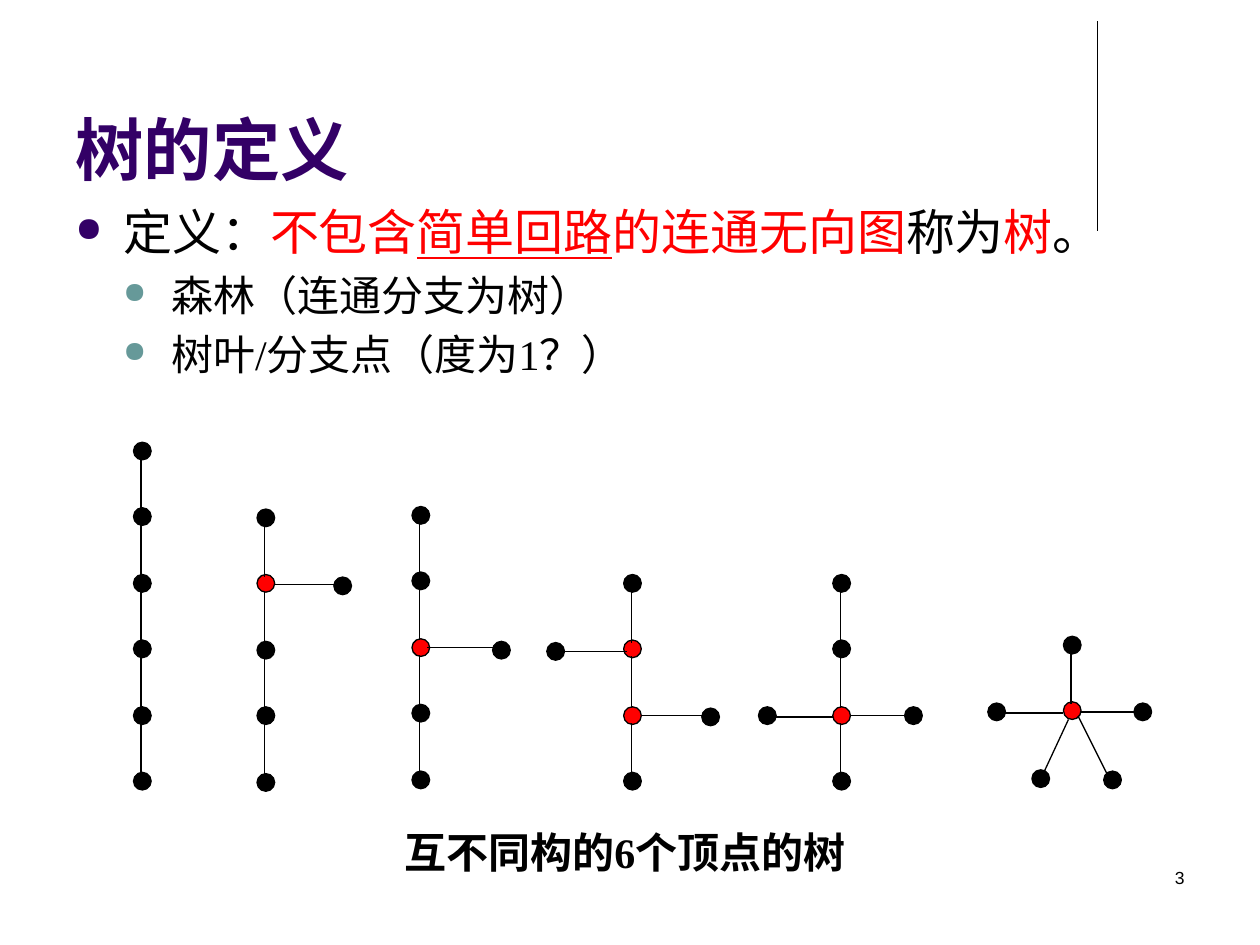
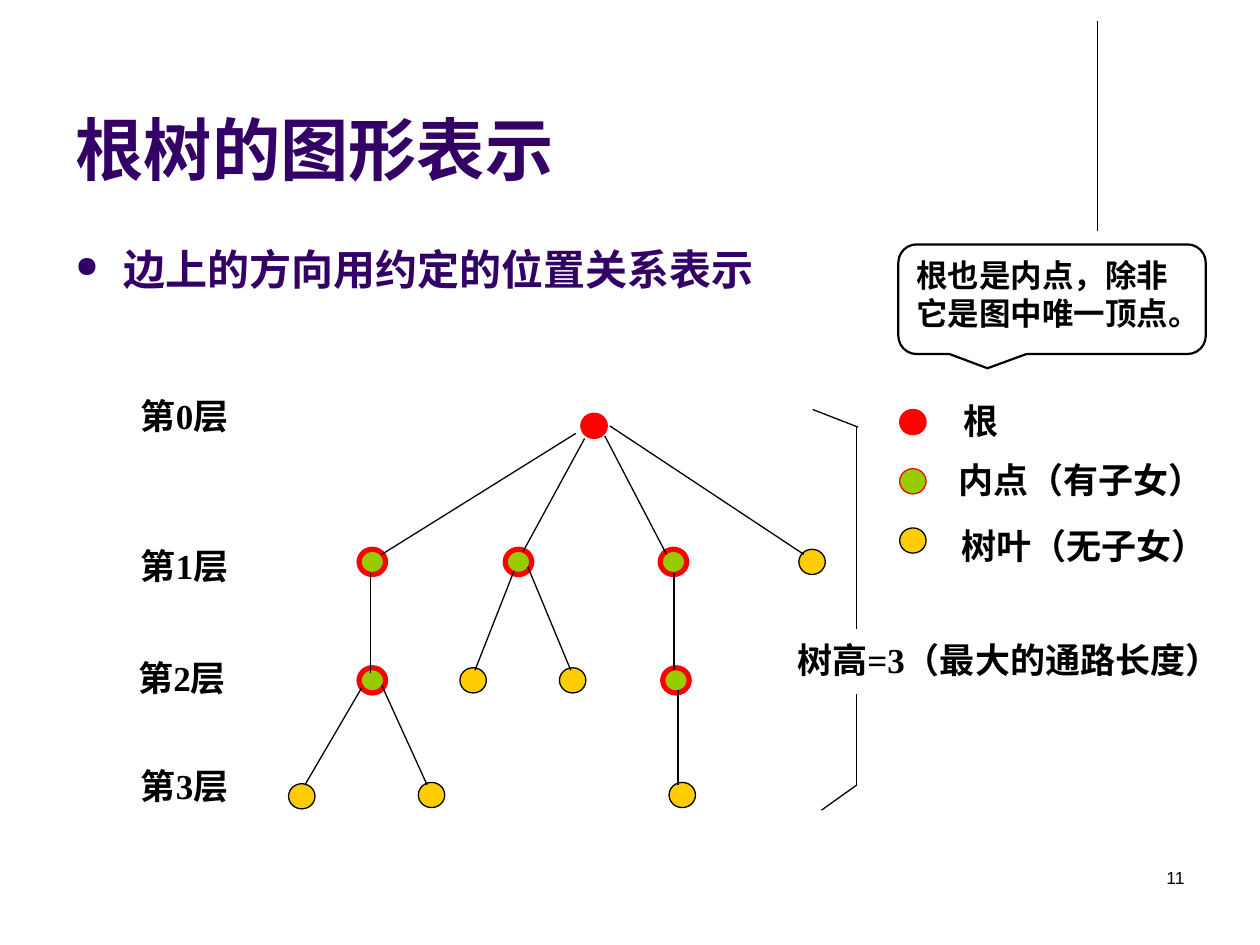
from lxml import etree
from pptx import Presentation
from pptx.dml.color import RGBColor
from pptx.enum.lang import MSO_LANGUAGE_ID
from pptx.enum.shapes import MSO_CONNECTOR, MSO_SHAPE
from pptx.enum.text import MSO_ANCHOR, MSO_AUTO_SIZE, PP_ALIGN
from pptx.oxml.ns import qn
from pptx.util import Pt

PX = 9144
LEFT, CENTER, RIGHT, JUSTIFY = PP_ALIGN.LEFT, PP_ALIGN.CENTER, PP_ALIGN.RIGHT, PP_ALIGN.JUSTIFY
TOP, BOTTOM = MSO_ANCHOR.TOP, MSO_ANCHOR.BOTTOM
NO_FIT = MSO_AUTO_SIZE.NONE
CHINESE = MSO_LANGUAGE_ID.SIMPLIFIED_CHINESE
STRAIGHT, OVAL = MSO_CONNECTOR.STRAIGHT, MSO_SHAPE.OVAL
RECT_CALLOUT, ROUND_CALLOUT = MSO_SHAPE.RECTANGULAR_CALLOUT, MSO_SHAPE.ROUNDED_RECTANGULAR_CALLOUT

BLACK, RED, PURPLE, TEAL = "000000", "FF0000", "330066", "669999"
GREEN, YELLOW = "99CC00", "FFCC00"
SANS, SERIF = "Arial", "Times New Roman"
TITLE_ONLY = 5


def color(hex_value):
    return RGBColor.from_string(hex_value)


def write(shape, text, size=20, font=SERIF, hue=BLACK, bold=False, align=LEFT,
          anchor=TOP, wrap=True, bullet=None, level=0):
    frame = shape.text_frame
    frame.word_wrap, frame.vertical_anchor, frame.auto_size = wrap, anchor, NO_FIT
    paragraph = frame.paragraphs[-1]
    if paragraph.runs:
        paragraph = frame.add_paragraph()
        paragraph.space_before = Pt(round(size * 0.2))
    paragraph.alignment, paragraph.level = align, level
    if bullet:
        properties = paragraph._p.get_or_add_pPr()
        properties.set("marL", str(38 * (level + 1) * PX))
        properties.set("indent", str(-38 * PX))
        bullet_color = etree.SubElement(properties, qn("a:buClr"))
        etree.SubElement(bullet_color, qn("a:srgbClr"), val=bullet)
        etree.SubElement(properties, qn("a:buSzPct"), val="70000")
        etree.SubElement(properties, qn("a:buChar"), char="●")
    pieces = [(text, hue, False)] if isinstance(text, str) else text
    for words, piece_hue, underline in pieces:
        run = paragraph.add_run()
        run.text = words
        run.font.size, run.font.name, run.font.bold = Pt(size), font, bold
        run.font.color.rgb = color(piece_hue)
        run.font.language_id = CHINESE
        if underline:
            run.font.underline = True


presentation = Presentation()
presentation.slide_width, presentation.slide_height = 1000 * PX, 750 * PX

slides = []
for title, number in (("树的定义", "3"), ("根树的图形表示", "11")):
    slide = presentation.slides.add_slide(presentation.slide_layouts[TITLE_ONLY])
    heading = slide.shapes.title
    heading.left, heading.top, heading.width, heading.height = 50 * PX, 13 * PX, 825 * PX, 142 * PX
    write(heading, title, size=39, font=SANS, hue=PURPLE, bold=True, anchor=BOTTOM)
    number_box = slide.shapes.add_textbox(717 * PX, 683 * PX, 233 * PX, 50 * PX)
    write(number_box, number, size=10, font=SANS, align=RIGHT)
    slides.append(slide)
definition_slide, rooted_slide = slides

body = definition_slide.shapes.add_textbox(50 * PX, 155 * PX, 930 * PX, 181 * PX)
definition = [("定义：", BLACK, False), ("不包含", RED, False), ("简单回路", RED, True),
              ("的连通无向图", RED, False), ("称为", BLACK, False), ("树", RED, False),
              ("。", BLACK, False)]
write(body, definition, size=28, align=JUSTIFY, bullet=PURPLE)
for text in ("森林（连通分支为树）", "树叶/分支点（度为1？）"):
    write(body, text, size=24, align=JUSTIFY, bullet=TEAL, level=1)

trunks = [
    (106, 351, 6, []),
    (204, 404, 5, [1]),
    (327, 402, 5, [2]),
    (495, 456, 4, [1, 2]),
    (661, 456, 4, [2]),
    (844, 505, 2, [1]),
]
side_vertices = [(265, 458), (391, 509), (434, 510), (557, 562), (602, 561), (718, 561),
                 (784, 558), (900, 558), (819, 611), (876, 612)]
definition_edges = [
    (218, 464, 268, 464), (339, 514, 392, 514), (447, 517, 498, 517), (509, 568, 559, 568),
    (616, 569, 661, 569), (675, 568, 720, 568), (798, 566, 844, 566), (857, 565, 902, 565),
    (848, 571, 828, 614), (856, 569, 879, 615),
]
definition_vertices = [(x, y, 14, 14, BLACK, BLACK, 0.75) for x, y in side_vertices]
for x, top, count, branch_points in trunks:
    for index in range(count):
        y = top + index * 105 // 2
        fill = RED if index in branch_points else BLACK
        definition_vertices.append((x, y, 14, 14, fill, BLACK, 0.75))
        if index < count - 1:
            definition_edges.append((x + 6, y + 13, x + 6, y + 54))

caption = definition_slide.shapes.add_shape(RECT_CALLOUT, 248 * PX, 651 * PX, 496 * PX, 55 * PX)
caption.fill.background()
caption.line.fill.background()
write(caption, "互不同构的6个顶点的树", size=24, bold=True, align=CENTER, wrap=False)

body = rooted_slide.shapes.add_textbox(50 * PX, 188 * PX, 607 * PX, 61 * PX)
write(body, "边上的方向用约定的位置关系表示", size=24, font=SANS, hue=PURPLE, bold=True, bullet=PURPLE)

vertex_styles = [
    (RED, RED, 0.75, [(461, 328), (714, 325)]),
    (GREEN, RED, 3, [(285, 436), (401, 436), (524, 436), (285, 530), (526, 530)]),
    (GREEN, RED, 0.75, [(714, 372)]),
    (YELLOW, BLACK, 0.75, [(634, 436), (365, 530), (444, 530), (531, 621), (229, 622),
                           (332, 621), (714, 419)]),
]
rooted_vertices = [(x, y, 21, 20, fill, outline, weight)
                   for fill, outline, weight, places in vertex_styles for x, y in places]
rooted_edges = [
    (457, 344, 303, 440), (464, 348, 415, 438), (480, 346, 529, 440), (484, 338, 638, 440),
    (294, 455, 294, 534), (408, 453, 377, 532), (419, 450, 453, 532), (535, 455, 535, 532),
    (287, 546, 242, 623), (303, 544, 339, 623), (538, 548, 538, 623),
]
height_bracket = [(681, 339, 645, 325), (680, 338, 680, 499), (680, 551, 680, 624),
                  (680, 623, 652, 643)]

labels = [
    ("根", 755, 312, 228, 56),
    ("内点（有子女）", 751, 359, 249, 56),
    ("树叶（无子女）", 753, 411, 247, 56),
    ("树高=3（最大的通路长度）", 623, 502, 357, 56),
]
for level, (x, y) in enumerate([(102, 308), (102, 427), (100, 516), (102, 602)]):
    labels.append((f"第{level}层", x, y, 147, 48))
for text, x, y, width, height in labels:
    label = rooted_slide.shapes.add_textbox(x * PX, y * PX, width * PX, height * PX)
    write(label, text, bold=True, align=JUSTIFY)

note = rooted_slide.shapes.add_shape(ROUND_CALLOUT, 713 * PX, 194 * PX, 244 * PX, 87 * PX)
note.fill.background()
note.line.color.rgb = color(BLACK)
note.line.width = Pt(1.25)
write(note, "根也是内点，除非它是图中唯一顶点。", size=18, font=SANS, bold=True)

for callout in (caption, note):
    callout.shadow.inherit = False
    callout.adjustments[0], callout.adjustments[1] = -0.21, 0.63

title_rule = (871, 17, 871, 183)
drawings = [
    (definition_slide, definition_vertices, [title_rule] + definition_edges),
    (rooted_slide, rooted_vertices, [title_rule] + rooted_edges + height_bracket),
]
for slide, vertices, edges in drawings:
    for x, y, width, height, fill, outline, weight in vertices:
        vertex = slide.shapes.add_shape(OVAL, x * PX, y * PX, width * PX, height * PX)
        vertex.shadow.inherit = False
        vertex.fill.solid()
        vertex.fill.fore_color.rgb = color(fill)
        vertex.line.color.rgb = color(outline)
        vertex.line.width = Pt(weight)
    for ends in edges:
        edge = slide.shapes.add_connector(STRAIGHT, *[PX * value for value in ends])
        edge.line.color.rgb = color(BLACK)
        edge.line.width = Pt(0.75)
        etree.SubElement(edge._element.spPr, qn("a:effectLst"))

presentation.save("out.pptx")
